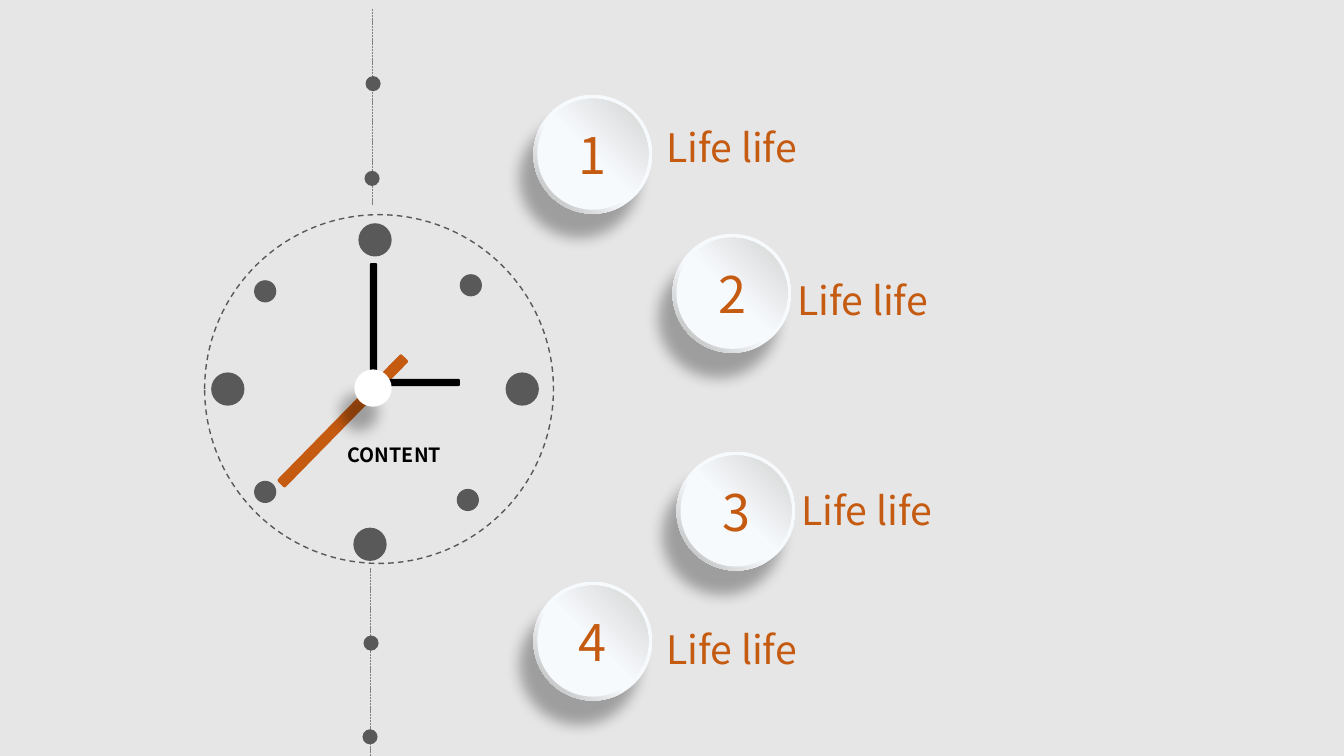
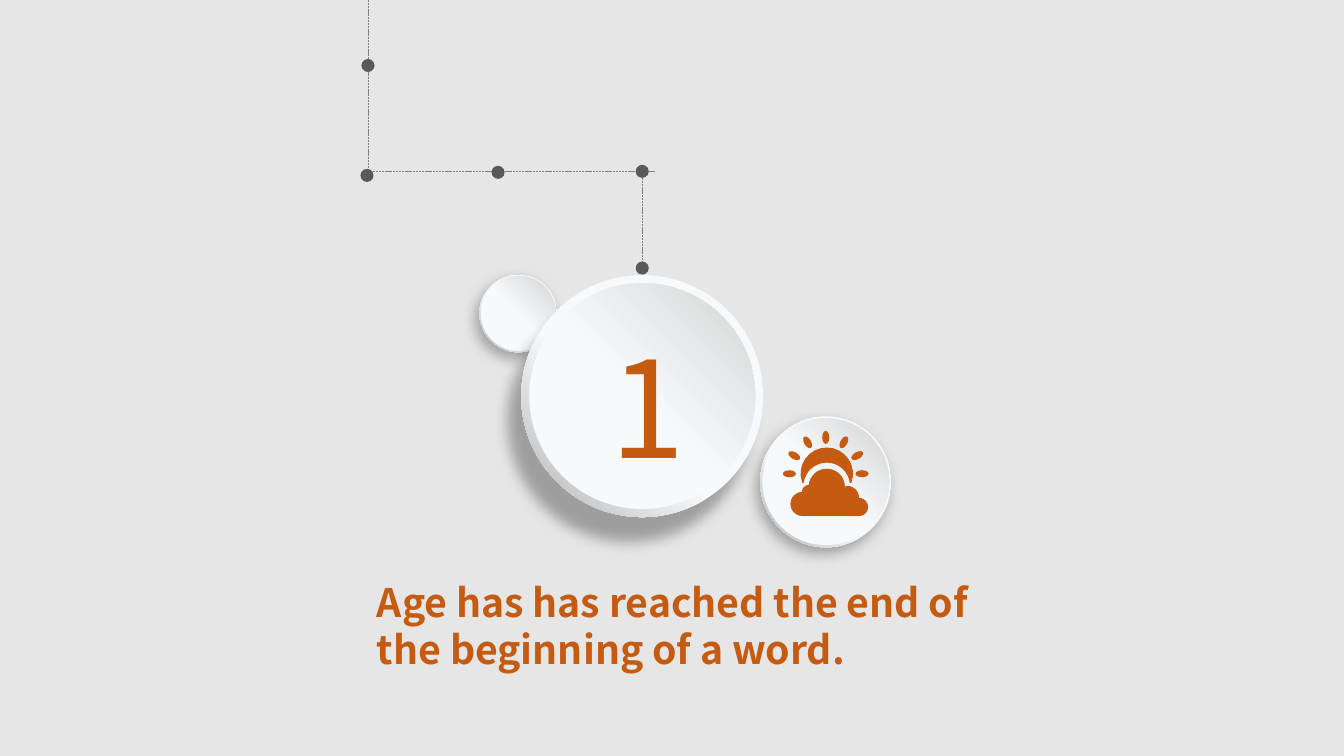
from dataclasses import dataclass
from math import cos, radians, sin

from lxml import etree
from pptx import Presentation
from pptx.dml.color import RGBColor
from pptx.enum.dml import MSO_LINE
from pptx.enum.shapes import MSO_CONNECTOR, MSO_SHAPE
from pptx.enum.text import MSO_AUTO_SIZE, PP_ALIGN
from pptx.oxml.ns import qn
from pptx.util import Inches, Pt

OVAL = MSO_SHAPE.OVAL
BAR = MSO_SHAPE.ROUNDED_RECTANGLE
STRAIGHT = MSO_CONNECTOR.STRAIGHT
DASH = MSO_LINE.DASH
FINE_DASH = MSO_LINE.SQUARE_DOT
FIT = MSO_AUTO_SIZE.SHAPE_TO_FIT_TEXT
LEFT = PP_ALIGN.LEFT
CENTER = PP_ALIGN.CENTER


@dataclass(frozen=True)
class Theme:
    font: str = "Noto Sans CJK SC"
    background: str = "E7E6E6"
    accent: str = "C55A11"
    dot: str = "595959"
    thread: str = "808080"
    black: str = "000000"
    white: str = "FFFFFF"
    rim: tuple = ((57, "F7FAFD"), (92, "BFBFBF"), (100, "A6A6A6"))
    face: tuple = ((49, "F7FAFD"), (92, "D9D9D9"), (100, "BFBFBF"))
    rim_angle: int = 225
    face_angle: int = 45
    small: int = 14
    label: int = 28
    number: int = 36
    giant: int = 96


THEME = Theme()


def rgb(value):
    return RGBColor.from_string(value)


def paint(sp, fill):
    sp.shadow.inherit = False
    sp.line.fill.background()
    if fill:
        sp.fill.solid()
        sp.fill.fore_color.rgb = rgb(fill)
    else:
        sp.fill.background()


def add_shape(s, kind, x, y, w, h, fill=None, rotation=0):
    sp = s.shapes.add_shape(kind, Inches(x), Inches(y), Inches(w), Inches(h))
    paint(sp, fill)
    sp.rotation = rotation
    return sp


def add_disc(s, cx, cy, d, fill=None):
    return add_shape(s, OVAL, cx - d / 2, cy - d / 2, d, d, fill)


def add_dots(s, centers, d):
    for cx, cy in centers:
        add_disc(s, cx, cy, d, THEME.dot)


def set_gradient(sp, stops, angle):
    sp.fill.gradient()
    sp.fill.gradient_angle = angle
    gs_list = next(sp._element.iter(qn("a:gsLst")))
    for gs in list(gs_list):
        gs_list.remove(gs)
    for pos, color in stops:
        gs = etree.SubElement(gs_list, qn("a:gs"), pos=str(pos * 1000))
        etree.SubElement(gs, qn("a:srgbClr"), val=color)


def set_shadow(sp, distance):
    effects = sp._element.spPr.find(qn("a:effectLst"))
    shadow = etree.SubElement(
        effects, qn("a:outerShdw"), blurRad=str(Pt(10)), dist=str(Pt(distance)),
        dir=str(120 * 60000), algn="ctr", rotWithShape="0")
    color = etree.SubElement(shadow, qn("a:srgbClr"), val=THEME.black)
    etree.SubElement(color, qn("a:alpha"), val="31000")


def add_thread(s, x1, y1, x2, y2):
    line = s.shapes.add_connector(
        STRAIGHT, Inches(x1), Inches(y1), Inches(x2), Inches(y2))
    line.line.color.rgb = rgb(THEME.thread)
    line.line.width = Pt(0.5)
    line.line.dash_style = FINE_DASH
    etree.SubElement(line._element.spPr, qn("a:effectLst"))


def add_text(s, text, x, y, w, h, size, color=THEME.accent, bold=False,
             align=LEFT, wrap=False):
    tf = s.shapes.add_textbox(Inches(x), Inches(y), Inches(w), Inches(h)).text_frame
    tf.word_wrap = wrap
    tf.auto_size = FIT
    p = tf.paragraphs[0]
    p.alignment = align
    r = p.add_run()
    r.text = text
    for name, value in {"name": THEME.font, "size": Pt(size), "bold": bold}.items():
        setattr(r.font, name, value)
    r.font.color.rgb = rgb(color)


def add_button(s, cx, cy, d, raised=True):
    rim = add_disc(s, cx, cy, d)
    set_gradient(rim, THEME.rim, THEME.rim_angle)
    set_shadow(rim, 20 if raised else 5)
    face = add_disc(s, cx, cy, d - d / (15 if raised else 30))
    set_gradient(face, THEME.face, THEME.face_angle)


def arc(cx, cy, radius, start, end, steps=16):
    angles = [radians(start + (end - start) * i / steps) for i in range(steps + 1)]
    return [(cx + radius * cos(a), cy + radius * sin(a)) for a in angles]


def add_outline(s, points, fill):
    pts = [(Inches(x), Inches(y)) for x, y in points]
    builder = s.shapes.build_freeform(*pts[0], scale=1.0)
    builder.add_line_segments(pts[1:], close=True)
    paint(builder.convert_to_shape(), fill)


def add_sun_and_cloud(s):
    cx, cy, reach, w, h = 8.19, 4.7, 0.36, 0.07, 0.13
    for angle in range(-90, 91, 30):
        x = cx + reach * sin(radians(angle))
        y = cy - reach * cos(radians(angle))
        add_shape(s, OVAL, x - w / 2, y - h / 2, w, h, THEME.accent, angle)
    crescent = arc(8.2, 4.7, 0.26, 160, 380) + arc(8.2, 4.82, 0.23, 353, 187)
    lobes = [(7.96, 5, 0.12, 90, 270), (8.03, 4.89, 0.08, 195, 270),
             (8.2, 4.83, 0.18, 185, 360), (8.4, 4.94, 0.12, 270, 360),
             (8.52, 5.03, 0.09, 270, 450)]
    cloud = [point for lobe in lobes for point in arc(*lobe)]
    for points in (crescent, cloud):
        add_outline(s, points, THEME.accent)


def add_clock(s):
    add_shape(s, BAR, 2.52, 4.12, 1.76, 0.11, THEME.accent, 314.4)
    add_shape(s, BAR, 3.13, 3.15, 1.15, 0.07, THEME.black, 270)
    add_shape(s, BAR, 3.77, 3.76, 0.79, 0.07, THEME.black)
    set_shadow(add_disc(s, 3.7, 3.85, 0.37, THEME.white), 20)
    add_dots(s, [(2.26, 3.86), (5.18, 3.86), (3.67, 5.4), (3.72, 2.38)], 0.33)
    add_dots(s, [(2.63, 2.89), (2.63, 4.88), (4.64, 4.96), (4.67, 2.83)], 0.22)
    ring = add_disc(s, 3.76, 3.86, 3.46)
    ring.line.color.rgb = rgb(THEME.dot)
    ring.line.width = Pt(1)
    ring.line.dash_style = DASH
    add_text(s, "CONTENT", 3.35, 4.34, 1.18, 0.34, THEME.small, THEME.black, bold=True)


def build_contents(s):
    for x, top, dots in ((3.69, 0.09, [(3.7, 0.83), (3.69, 1.77)]),
                         (3.67, 5.64, [(3.68, 6.38), (3.67, 7.31)])):
        add_thread(s, x, top, x, top + 1.94)
        add_dots(s, dots, 0.15)
    add_clock(s)
    entries = [(5.88, 1.53, 6.51, 1.17), (7.26, 2.91, 7.81, 2.69),
               (7.3, 5.07, 7.85, 4.78), (5.88, 6.36, 6.51, 6.15)]
    for number, (cx, cy, label_x, label_y) in enumerate(entries, 1):
        add_button(s, cx, cy, 1.18)
        add_text(s, str(number), cx - 0.27, cy - 0.35, 0.54, 0.71, THEME.number,
                 align=CENTER)
        add_text(s, "Life life", label_x, label_y, 4.06, 0.57, THEME.label)


def build_section(s):
    add_button(s, 5.14, 3.11, 0.77, raised=False)
    for ends in ((3.65, 0, 3.65, 1.7), (6.5, 1.7, 3.64, 1.7), (6.37, 1.71, 6.37, 2.69)):
        add_thread(s, *ends)
    add_dots(s, [(3.65, 0.65), (3.64, 1.74), (4.94, 1.71), (6.37, 1.7), (6.37, 2.66)],
             0.13)
    add_button(s, 6.37, 3.93, 2.4)
    add_text(s, "1", 5.96, 3.17, 0.81, 1.51, THEME.giant, align=CENTER, wrap=True)
    add_button(s, 8.19, 4.78, 1.3, raised=False)
    add_sun_and_cloud(s)
    add_text(s, "Age has has reached the end of the beginning of a word.",
             3.64, 5.69, 6.67, 1.04, THEME.label, bold=True, wrap=True)


def main():
    prs = Presentation()
    prs.slide_width, prs.slide_height = Inches(13.33), Inches(7.5)
    fill = prs.slide_master.background.fill
    fill.solid()
    fill.fore_color.rgb = rgb(THEME.background)
    for build in (build_contents, build_section):
        build(prs.slides.add_slide(prs.slide_layouts[6]))
    prs.save("out.pptx")


if __name__ == "__main__":
    main()
